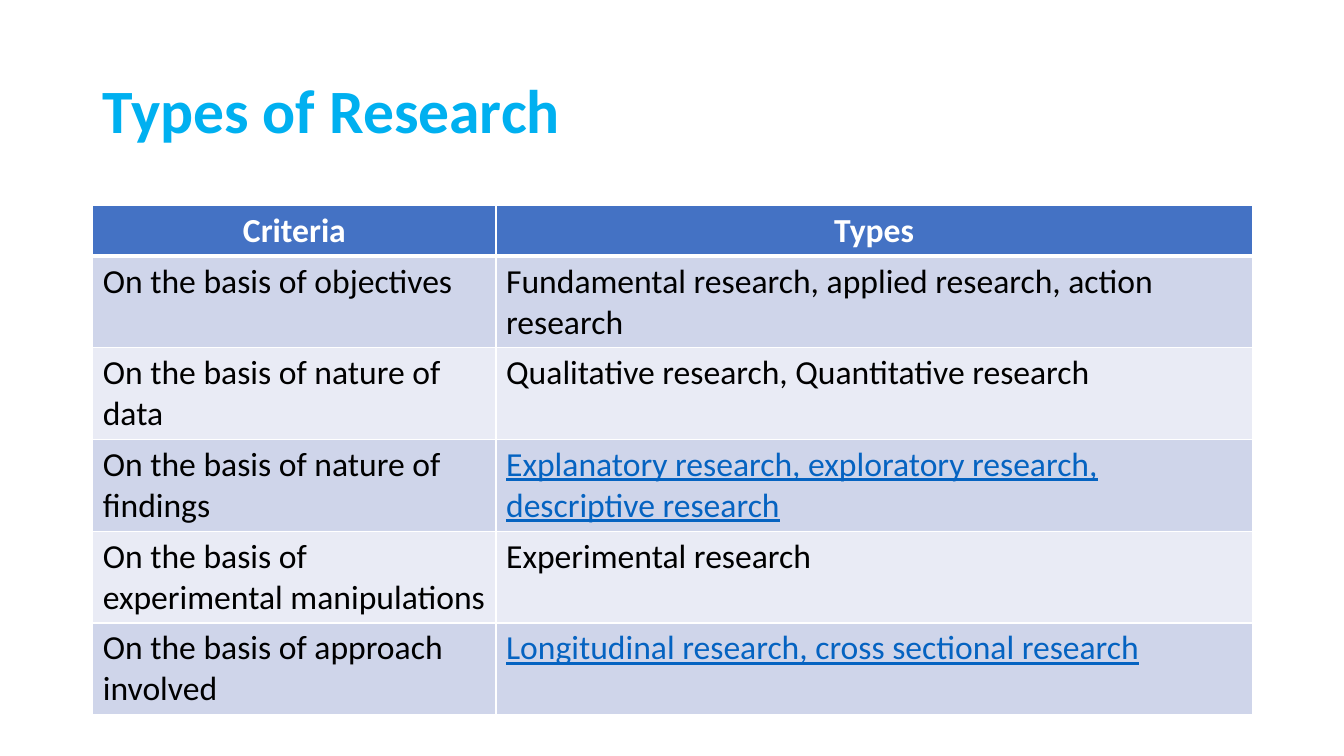
from lxml.etree import SubElement
from pptx import Presentation
from pptx.dml.color import RGBColor
from pptx.enum.text import MSO_ANCHOR, PP_ALIGN
from pptx.oxml.ns import qn
from pptx.util import Inches, Pt

COLORS = {
    "title": "00B0F0",
    "header": "4472C4",
    "odd": "CFD5EA",
    "even": "E9EBF5",
    "white": "FFFFFF",
    "text": "000000",
    "underlined": "0563C1",
}
ROWS = [
    ("Criteria", "Types"),
    ("On the basis of objectives", "Fundamental research, applied research, action research"),
    ("On the basis of nature of data", "Qualitative research, Quantitative research"),
    ("On the basis of nature of findings",
     "Explanatory research, exploratory research, descriptive research"),
    ("On the basis of experimental manipulations", "Experimental research"),
    ("On the basis of approach involved", "Longitudinal research, cross sectional research"),
]
UNDERLINED = {(3, 1), (5, 1)}
HEADER_HEIGHT, ROW_HEIGHT = 0.5, 0.91


def style_text(p, size, color, bold):
    p.font.name = "Calibri"
    p.font.size = Pt(size)
    p.font.bold = bold
    p.font.color.rgb = RGBColor.from_string(COLORS[color])


def add_border(cell, side, width):
    ln = SubElement(cell._tc.get_or_add_tcPr(), qn(f"a:ln{side}"), w=str(Pt(width)))
    fill = SubElement(ln, qn("a:solidFill"))
    SubElement(fill, qn("a:srgbClr"), val=COLORS["white"])


prs = Presentation()
prs.slide_width, prs.slide_height = Inches(13.33), Inches(7.5)
s = prs.slides.add_slide(prs.slide_layouts[6])

title = s.shapes.add_textbox(Inches(0.92), Inches(0.4), Inches(11.5), Inches(1.45))
tf = title.text_frame
tf.word_wrap = True
tf.vertical_anchor = MSO_ANCHOR.MIDDLE
p = tf.paragraphs[0]
p.text = "Types of Research"
p.line_spacing = 0.9
style_text(p, 44, "title", True)

table_height = HEADER_HEIGHT + ROW_HEIGHT * (len(ROWS) - 1)
table = s.shapes.add_table(len(ROWS), 2, Inches(0.92), Inches(2.04),
                           Inches(11.5), Inches(table_height)).table
table.columns[0].width = Inches(4)
table.columns[1].width = Inches(7.5)

for i, row in enumerate(ROWS):
    is_header = i == 0
    table.rows[i].height = Inches(HEADER_HEIGHT if is_header else ROW_HEIGHT)
    band = "header" if is_header else "odd" if i % 2 else "even"
    for j, text in enumerate(row):
        cell = table.cell(i, j)
        for side in "LRTB":
            thick = (is_header and side == "B") or (i == 1 and side == "T")
            add_border(cell, side, 3 if thick else 1)
        cell.fill.solid()
        cell.fill.fore_color.rgb = RGBColor.from_string(COLORS[band])
        p = cell.text_frame.paragraphs[0]
        p.text = text
        p.alignment = PP_ALIGN.CENTER if is_header else PP_ALIGN.LEFT
        underlined = (i, j) in UNDERLINED
        color = "white" if is_header else "underlined" if underlined else "text"
        style_text(p, 24, color, is_header)
        p.font.underline = underlined

prs.save("out.pptx")
